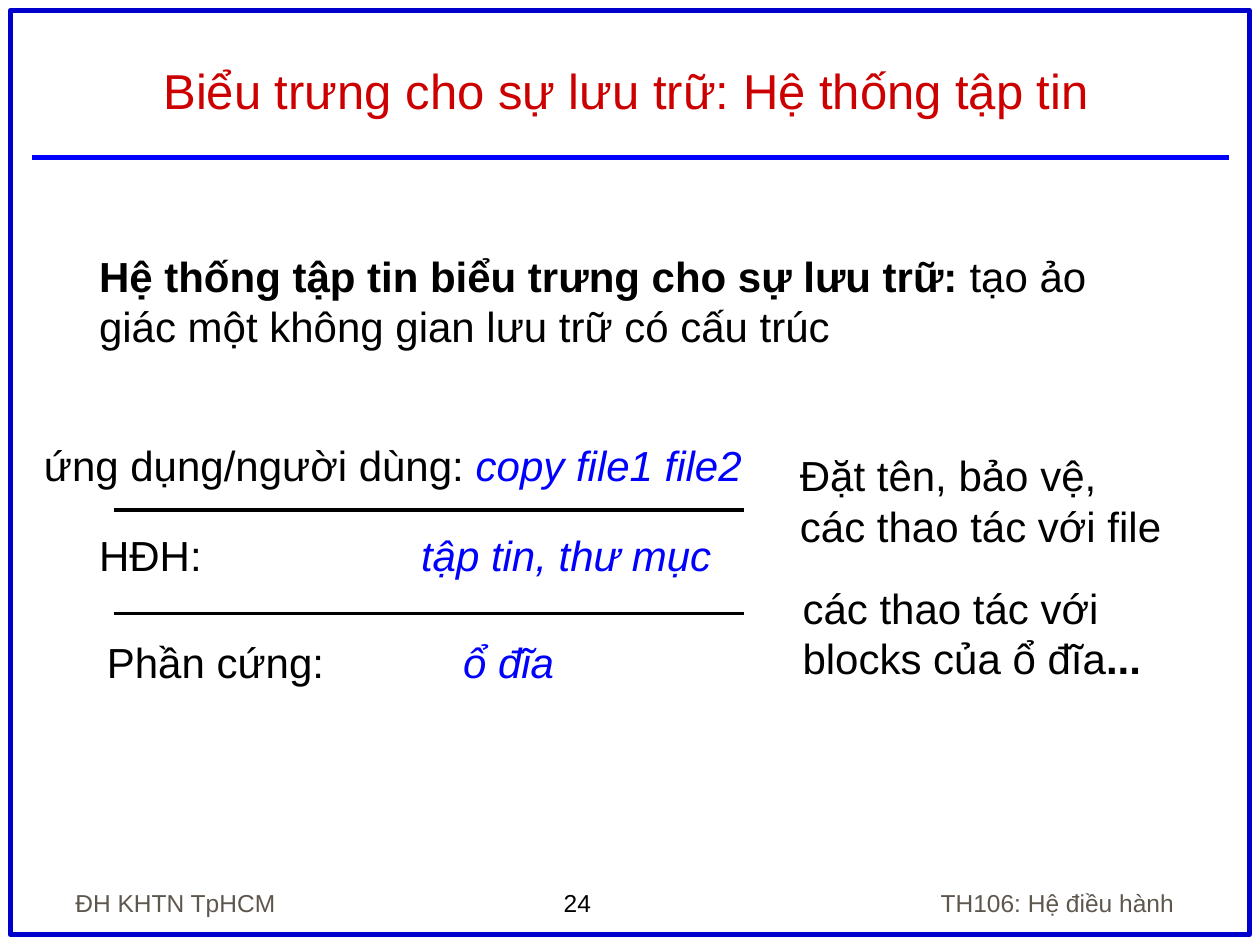
from lxml import etree
from pptx import Presentation
from pptx.dml.color import RGBColor
from pptx.enum.shapes import MSO_CONNECTOR, MSO_SHAPE
from pptx.enum.text import MSO_ANCHOR, MSO_AUTO_SIZE, PP_ALIGN
from pptx.oxml.ns import qn
from pptx.util import Pt

STRAIGHT = MSO_CONNECTOR.STRAIGHT
RECTANGLE = MSO_SHAPE.RECTANGLE
TOP, BOTTOM = MSO_ANCHOR.TOP, MSO_ANCHOR.BOTTOM
LEFT, CENTER, RIGHT = PP_ALIGN.LEFT, PP_ALIGN.CENTER, PP_ALIGN.RIGHT
NO_AUTOFIT = MSO_AUTO_SIZE.NONE

BLACK = RGBColor(0x00, 0x00, 0x00)
BLUE = RGBColor(0x00, 0x00, 0xFF)
FRAME_BLUE = RGBColor(0x00, 0x00, 0xCC)
RED = RGBColor(0xCC, 0x00, 0x00)
GRAY = RGBColor(0x5E, 0x57, 0x4E)


class SlideBuilder:
    font_name = "Arial"
    body_size = 24
    title_size = 28
    footer_size = 14

    def __init__(self, page):
        self.page = page

    def place(self, shape, left, top, width, height):
        shape.left, shape.top = Pt(left), Pt(top)
        shape.width, shape.height = Pt(width), Pt(height)

    def style(self, span, size, color, bold=False, italic=False):
        font = span.font
        font.name = self.font_name
        font.size = Pt(size)
        font.color.rgb = color
        font.bold = bold
        font.italic = italic

    def title(self, text, *area):
        box = self.page.shapes.title
        self.place(box, *area)
        frame = box.text_frame
        frame.text = text
        frame.auto_size = NO_AUTOFIT
        frame.vertical_anchor = BOTTOM
        para = frame.paragraphs[0]
        para.alignment = CENTER
        self.style(para.runs[0], self.title_size, RED)

    def text(self, lines, *area, size=body_size, color=BLACK,
             align=LEFT, anchor=TOP, tab=None):
        frame = self.page.shapes.add_textbox(*map(Pt, area)).text_frame
        frame.word_wrap = True
        frame.vertical_anchor = anchor
        for index, spans in enumerate(lines):
            para = frame.add_paragraph() if index else frame.paragraphs[0]
            para.alignment = align
            if tab:
                self.tab_stop(para, tab)
            for words, look in spans:
                span = para.add_run()
                span.text = words
                self.style(span, size, **{"color": color, **look})

    def tab_stop(self, para, position):
        tabs = etree.SubElement(para._p.get_or_add_pPr(), qn("a:tabLst"))
        etree.SubElement(tabs, qn("a:tab"), pos=str(int(Pt(position))), algn="l")

    def line(self, left, right, y, color, weight):
        line = self.page.shapes.add_connector(
            STRAIGHT, Pt(left), Pt(y), Pt(right), Pt(y))
        line.line.color.rgb = color
        line.line.width = Pt(weight)
        etree.SubElement(line._element.spPr, qn("a:effectLst"))

    def frame(self, *area):
        border = self.page.shapes.add_shape(RECTANGLE, *map(Pt, area))
        border.shadow.inherit = False
        border.fill.background()
        border.line.color.rgb = FRAME_BLUE
        border.line.width = Pt(3)


def main():
    deck = Presentation()
    deck.slide_width, deck.slide_height = Pt(720), Pt(540)
    page = deck.slides.add_slide(deck.slide_layouts[5])
    slide = SlideBuilder(page)
    plain, bold = {}, {"bold": True}
    example = {"color": BLUE, "italic": True}

    slide.frame(6, 6, 708, 534 - 6)
    slide.line(18, 702, 90, BLUE, 3)
    slide.title("Biểu trưng cho sự lưu trữ: Hệ thống tập tin", 31.5, 18, 652.5, 54)

    slide.text([[("Hệ thống tập tin biểu trưng cho sự lưu trữ: ", bold),
                 ("tạo ảo giác một không gian lưu trữ có cấu trúc", plain)]],
               49.5, 139.5, 605, 65)

    slide.text([[("ứng dụng/người dùng: ", plain), ("copy file1 file2", example)]],
               18, 247.5, 420, 36)
    slide.text([[("HĐH:\t", plain), ("tập tin, thư mục", example)]],
               49.5, 299.25, 364.5, 36, tab=184)
    slide.text([[("Phần cứng:\t", plain), ("ổ đĩa", example)]],
               54, 360, 270, 36, tab=203.5)
    for y in (291.5, 350.5):
        slide.line(65, 425, y, BLACK, 2)

    slide.text([[("Đặt tên, bảo vệ,", plain)], [("các thao tác với file", plain)]],
               450, 253.5, 240, 65)
    slide.text([[("các thao tác với", plain)],
                [("blocks của ổ đĩa", plain), ("...", bold)]],
               451.5, 329.25, 214, 65)

    footer = {"size": slide.footer_size, "anchor": BOTTOM}
    slide.text([[("ĐH KHTN TpHCM", plain)]], 36, 492, 150, 36,
               color=GRAY, **footer)
    slide.text([[("24", plain)]], 315, 504, 78, 24, **footer)
    slide.text([[("TH106: Hệ điều hành", plain)]], 480, 492, 198, 36,
               color=GRAY, align=RIGHT, **footer)

    deck.save("out.pptx")


if __name__ == "__main__":
    main()
